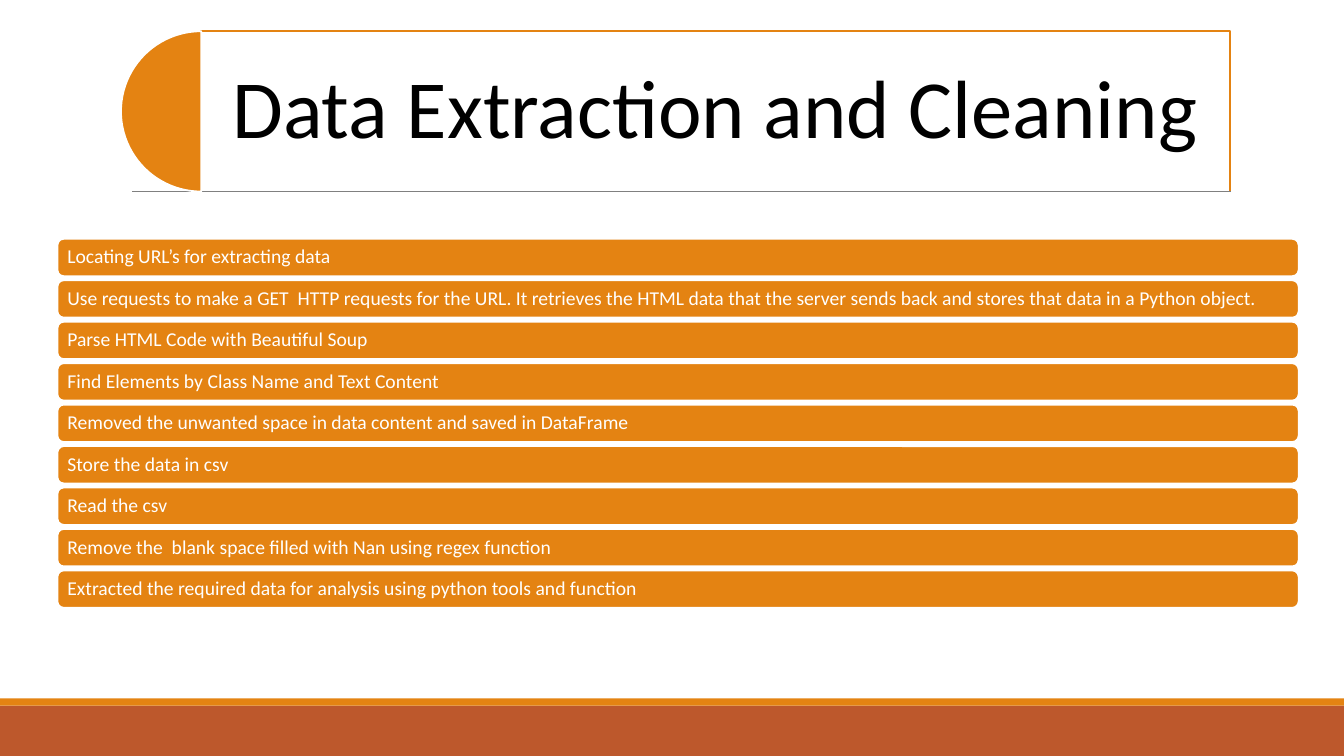
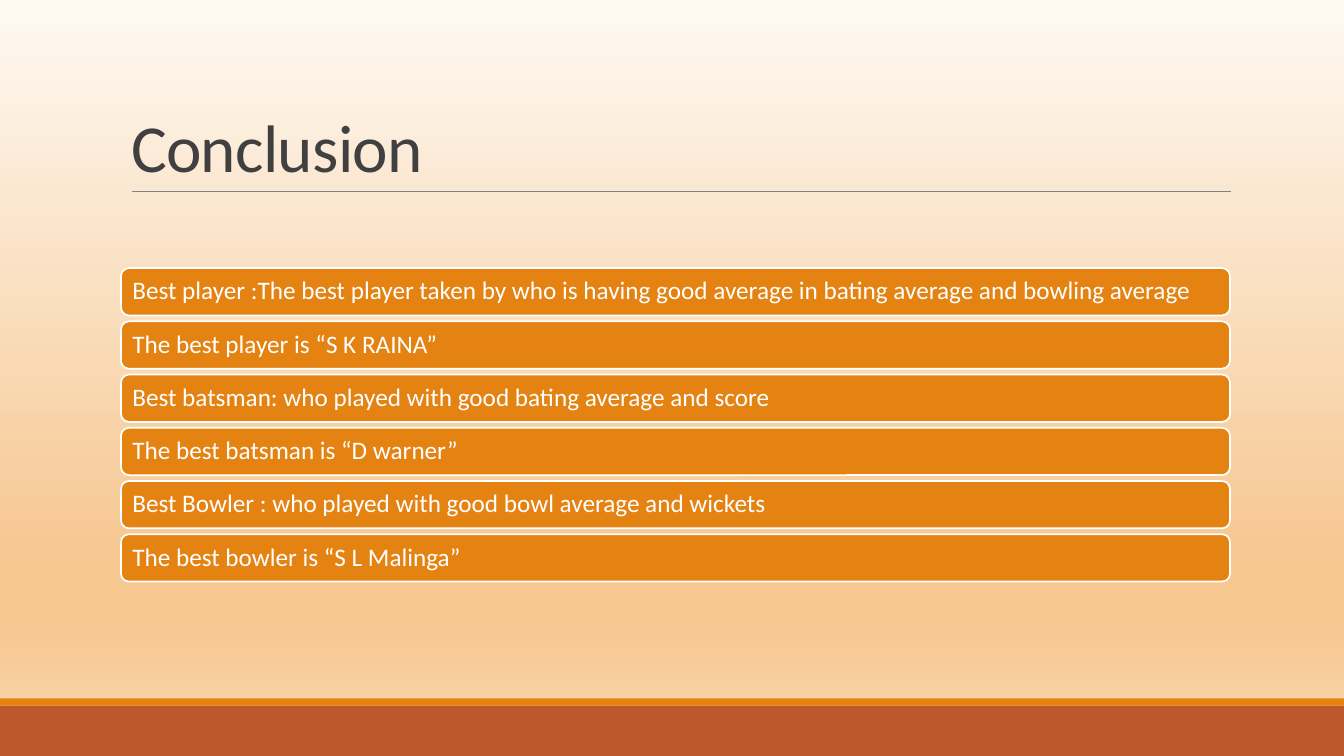
from copy import deepcopy
from dataclasses import dataclass

from pptx import Presentation
from pptx.dml.color import RGBColor
from pptx.enum.shapes import MSO_CONNECTOR, MSO_SHAPE as Shape
from pptx.enum.text import MSO_ANCHOR as Anchor, MSO_AUTO_SIZE, PP_ALIGN as Align
from pptx.oxml.ns import qn
from pptx.oxml.xmlchemy import OxmlElement
from pptx.util import Inches, Pt


@dataclass(frozen=True)
class Theme:
    font: str = "Calibri"
    orange: str = "E48312"
    rust: str = "BD582C"
    rule: str = "808080"
    white: str = "FFFFFF"
    black: str = "000000"
    dark: str = "404040"
    banner_size: float = 59
    title_size: float = 48
    steps_size: float = 14
    findings_size: float = 18
    border: float = 1.25
    glow: tuple = ((0, "FEF9F3"), (0.74, "F6C791"), (0.83, "F6C791"), (1, "F9DAB6"))


T = Theme()


@dataclass(frozen=True)
class Box:
    left: float
    top: float
    width: float
    height: float

    def emu(self) -> tuple:
        return tuple(Inches(v) for v in (self.left, self.top, self.width, self.height))


@dataclass(frozen=True)
class BarList:
    """A stack of equal bars; first is the top bar, last_top the top of the last."""
    first: Box
    last_top: float
    size: float
    inset: float
    items: tuple


STEPS = BarList(Box(0.57, 2.37, 12.31, 0.37), 5.66, T.steps_size, 0.08, (
    "Locating URL’s for extracting data",
    "Use requests to make a GET  HTTP requests for the URL. It retrieves the HTML data "
    "that the server sends back and stores that data in a Python object.",
    "Parse HTML Code with Beautiful Soup",
    "Find Elements by Class Name and Text Content",
    "Removed the unwanted space in data content and saved in DataFrame",
    "Store the data in csv",
    "Read the csv",
    "Remove the  blank space filled with Nan using regex function",
    "Extracted the required data for analysis using python tools and function",
))

FINDINGS = BarList(Box(1.2, 2.66, 11, 0.47), 5.3, T.findings_size, 0.09, (
    "Best player :The best player taken by who is having good average in bating average "
    "and bowling average",
    "The best player is “S K RAINA”",
    "Best batsman: who played with good bating average and score",
    "The best batsman is “D warner”",
    "Best Bowler : who played with good bowl average and wickets",
    "The best bowler is “S L Malinga”",
))


def rgb(color: str) -> RGBColor:
    return RGBColor.from_string(color)


def paint(sp, fill: str, line: str | None = None) -> None:
    sp.fill.solid()
    sp.fill.fore_color.rgb = rgb(fill)
    if line:
        sp.line.color.rgb = rgb(line)
        sp.line.width = Pt(T.border)
    else:
        sp.line.fill.background()


def add_shape(s, kind, box: Box, fill: str, line: str | None = None):
    sp = s.shapes.add_shape(kind, *box.emu())
    sp.shadow.inherit = False
    paint(sp, fill, line)
    return sp


def write(sp, text: str, *, size: float, color: str, align=Align.LEFT,
          anchor=Anchor.MIDDLE, leading: float = 0.9, inset: float | None = None,
          tracking: float = 0) -> None:
    tf = sp.text_frame
    tf.word_wrap = True
    tf.auto_size = MSO_AUTO_SIZE.NONE
    tf.vertical_anchor = anchor
    if inset is not None:
        tf.margin_left = tf.margin_right = Inches(inset)
        tf.margin_top = tf.margin_bottom = Inches(inset)
    p = tf.paragraphs[0]
    p.alignment, p.line_spacing = align, leading
    r = p.add_run()
    r.text = text
    r.font.name, r.font.size = T.font, Pt(size)
    r.font.color.rgb = rgb(color)
    if tracking:
        r.font._element.set("spc", str(round(tracking * 100)))


def place_title(s, box: Box):
    title = s.shapes.title
    title.left, title.top, title.width, title.height = box.emu()
    return title


def add_frame(s) -> None:
    """Footer bands and title rule shared by all slides."""
    add_shape(s, Shape.RECTANGLE, Box(0, 7, 13.33, 0.5), T.rust)
    add_shape(s, Shape.RECTANGLE, Box(0, 6.93, 13.33, 0.07), T.orange)
    rule = s.shapes.add_connector(MSO_CONNECTOR.STRAIGHT, Inches(1.31), Inches(1.9),
                                  Inches(12.21), Inches(1.9))
    rule.line.color.rgb = rgb(T.rule)
    rule.line.width = Pt(0.5)
    rule._element.spPr.append(OxmlElement("a:effectLst"))


def add_bars(s, bars: BarList) -> None:
    b = bars.first
    step = (bars.last_top - b.top) / (len(bars.items) - 1)
    for i, text in enumerate(bars.items):
        box = Box(b.left, b.top + i * step, b.width, b.height)
        sp = add_shape(s, Shape.ROUNDED_RECTANGLE, box, T.orange, T.white)
        write(sp, text, size=bars.size, color=T.white, inset=bars.inset)


def fill_background(s, stops: tuple) -> None:
    fill = s.background.fill
    fill.gradient()
    fill.gradient_angle = 270
    gs_list = next(s.element.iter(qn("a:gsLst")))
    while len(gs_list) < len(stops):
        gs_list.append(deepcopy(gs_list[0]))
    for stop, (position, color) in zip(fill.gradient_stops, stops):
        stop.position = position
        stop.color.rgb = rgb(color)


def new_slide(prs):
    s = prs.slides.add_slide(prs.slide_layouts.get_by_name("Title Only"))
    add_frame(s)
    return s


def build_extraction(prs) -> None:
    s = new_slide(prs)
    # Banner: framed title with a half disc at its left edge
    title = place_title(s, Box(1.99, 0.31, 10.21, 1.59))
    paint(title, T.white, T.orange)
    write(title, "Data Extraction and Cleaning", size=T.banner_size, color=T.black,
          align=Align.CENTER, inset=0.25)
    disc = add_shape(s, Shape.PIE, Box(1.2, 0.31, 1.59, 1.59), T.orange, T.white)
    disc.adjustments[0], disc.adjustments[1] = 54, 162  # 90 to 270 degrees
    add_bars(s, STEPS)


def build_conclusion(prs) -> None:
    s = new_slide(prs)
    fill_background(s, T.glow)
    write(place_title(s, Box(1.2, 0.31, 11, 1.59)), "Conclusion", size=T.title_size,
          color=T.dark, anchor=Anchor.BOTTOM, leading=0.85, tracking=-0.5)
    add_bars(s, FINDINGS)


def main() -> None:
    prs = Presentation()
    prs.slide_width, prs.slide_height = Inches(13.33), Inches(7.5)
    build_extraction(prs)
    build_conclusion(prs)
    prs.save("out.pptx")


if __name__ == "__main__":
    main()
